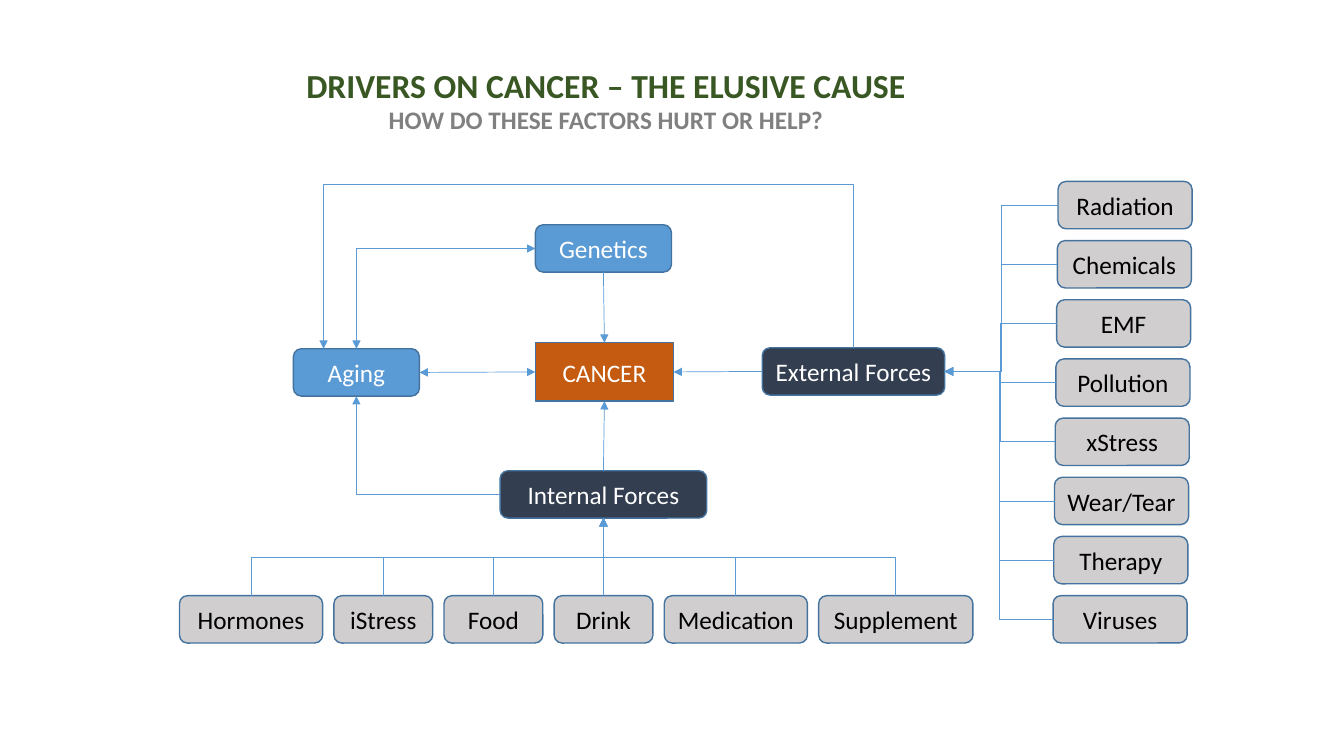
"""Draw a diagram of the forces that drive cancer."""

import dataclasses
import itertools

import lxml.etree
import pptx
import pptx.dml.color
import pptx.enum.shapes
import pptx.enum.text
import pptx.oxml.ns
import pptx.util

COLUMN = pptx.util.Inches(0.1)
ROW = pptx.util.Inches(0.1)
COLUMNS, ROWS = 133.3, 75
BOX_ROWS = 4.7
TOP, LEFT, BOTTOM, RIGHT = range(4)

WHITE = pptx.dml.color.RGBColor(0xFF, 0xFF, 0xFF)
BLACK = pptx.dml.color.RGBColor(0x00, 0x00, 0x00)
BLUE = pptx.dml.color.RGBColor(0x5B, 0x9B, 0xD5)
OUTLINE = pptx.dml.color.RGBColor(0x43, 0x73, 0x9E)
NAVY = pptx.dml.color.RGBColor(0x33, 0x3F, 0x50)
ORANGE = pptx.dml.color.RGBColor(0xC5, 0x5A, 0x11)
SILVER = pptx.dml.color.RGBColor(0xD0, 0xCE, 0xCE)
GREEN = pptx.dml.color.RGBColor(0x38, 0x57, 0x23)
GRAY = pptx.dml.color.RGBColor(0x80, 0x80, 0x80)

SHAPES = pptx.enum.shapes.MSO_SHAPE
CONNECTORS = pptx.enum.shapes.MSO_CONNECTOR


@dataclasses.dataclass(frozen=True)
class Box:
    """A labelled box, placed in grid columns and rows."""

    label: str
    column: float
    row: float
    columns: float
    fill: pptx.dml.color.RGBColor = SILVER
    ink: pptx.dml.color.RGBColor = BLACK
    rows: float = BOX_ROWS
    outline: SHAPES = SHAPES.ROUNDED_RECTANGLE

    def side(self, site: int) -> tuple[float, float]:
        """Return the middle of one side in grid columns and rows."""
        across = {LEFT: 0, RIGHT: 1}.get(site, 0.5)
        down = {TOP: 0, BOTTOM: 1}.get(site, 0.5)
        return self.column + across * self.columns, self.row + down * self.rows


@dataclasses.dataclass(frozen=True)
class Link:
    """An arrow between the sides of two boxes."""

    source: Box
    source_site: int
    target: Box
    target_site: int
    both_ends: bool = False
    bends: int = 0


CANCER = Box("CANCER", 53.1, 34, 13.7, ORANGE, WHITE, 5.8, SHAPES.RECTANGLE)
GENETICS = Box("Genetics", 53.1, 22.3, 13.5, BLUE, WHITE)
AGING = Box("Aging", 29.1, 34.6, 12.5, BLUE, WHITE)
EXTERNAL = Box("External Forces", 75.6, 34.5, 18.1, NAVY, WHITE)
INTERNAL = Box("Internal Forces", 49.6, 46.7, 20.5, NAVY, WHITE)

INTERNAL_LABELS = ("Hormones", "iStress", "Food", "Drink", "Medication", "Supplement")
INTERNAL_COLUMNS = (14.2, 9.8, 9.8, 9.8, 14.2, 15.3)
INTERNAL_GAP = 1.12
INTERNAL_STARTS = itertools.accumulate(
    (columns + INTERNAL_GAP for columns in INTERNAL_COLUMNS), initial=17.8
)
INTERNAL_DRIVERS = [
    Box(label, start, 59.1, columns)
    for label, start, columns in zip(INTERNAL_LABELS, INTERNAL_STARTS, INTERNAL_COLUMNS)
]
EXTERNAL_LABELS = (
    "Radiation", "Chemicals", "EMF", "Pollution",
    "xStress", "Wear/Tear", "Therapy", "Viruses",
)
EXTERNAL_DRIVERS = [
    Box(label, 104.94 - 0.07 * index, 18 + 5.87 * index, 13.3)
    for index, label in enumerate(EXTERNAL_LABELS)
]

LINKS = [
    Link(EXTERNAL, LEFT, CANCER, RIGHT),
    Link(GENETICS, BOTTOM, CANCER, TOP),
    Link(INTERNAL, TOP, CANCER, BOTTOM),
    Link(AGING, RIGHT, CANCER, LEFT, both_ends=True),
    Link(AGING, TOP, GENETICS, LEFT, both_ends=True, bends=1),
    Link(INTERNAL, LEFT, AGING, BOTTOM, bends=1),
    *(
        Link(driver, TOP, INTERNAL, BOTTOM, bends=0 if driver.label == "Drink" else 2)
        for driver in INTERNAL_DRIVERS
    ),
    *(Link(driver, LEFT, EXTERNAL, RIGHT, bends=2) for driver in EXTERNAL_DRIVERS),
]


def write_text(paragraph, text: str, *, size: float, color, bold: bool = False) -> None:
    """Write one centred paragraph in the slide's font."""
    paragraph.alignment = pptx.enum.text.PP_ALIGN.CENTER
    run = paragraph.add_run()
    run.text = text
    run.font.name = "Calibri"
    run.font.size = pptx.util.Pt(size)
    run.font.bold = bold
    run.font.color.rgb = color


def draw_box(slide, box: Box):
    """Draw a labelled box and return its shape."""
    shape = slide.shapes.add_shape(
        box.outline,
        round(box.column * COLUMN), round(box.row * ROW),
        round(box.columns * COLUMN), round(box.rows * ROW),
    )
    shape.shadow.inherit = False
    shape.fill.solid()
    shape.fill.fore_color.rgb = box.fill
    shape.line.color.rgb = OUTLINE
    shape.line.width = pptx.util.Pt(1)
    shape.text_frame.vertical_anchor = pptx.enum.text.MSO_ANCHOR.MIDDLE
    write_text(shape.text_frame.paragraphs[0], box.label, size=18, color=box.ink)
    return shape


def style_arrow(shape, both_ends: bool = False) -> None:
    """Give a line its colour, width and arrowheads, without a shadow."""
    shape.line.color.rgb = BLUE
    shape.line.width = pptx.util.Pt(0.5)
    properties = shape._element.spPr
    line = properties.find(pptx.oxml.ns.qn("a:ln"))
    for end in ("a:headEnd", "a:tailEnd") if both_ends else ("a:tailEnd",):
        lxml.etree.SubElement(line, pptx.oxml.ns.qn(end), type="triangle")
    lxml.etree.SubElement(properties, pptx.oxml.ns.qn("a:effectLst"))


def bend(connector, link: Link) -> None:
    """Turn an elbow so that it leaves its source upward or to the left."""
    start_column, start_row = link.source.side(link.source_site)
    end_column, end_row = link.target.side(link.target_site)
    across, down = end_column - start_column, end_row - start_row
    upward = link.source_site == TOP
    length, offset = (-down, across) if upward else (-across, -down)
    middle_column = (start_column + end_column) / 2
    middle_row = (start_row + end_row) / 2
    connector.begin_x = round((middle_column - length / 2) * COLUMN)
    connector.end_x = round((middle_column + length / 2) * COLUMN)
    connector.begin_y = round((middle_row - offset / 2) * ROW)
    connector.end_y = round((middle_row + offset / 2) * ROW)
    properties = connector._element.spPr
    frame = properties.find(pptx.oxml.ns.qn("a:xfrm"))
    frame.set("rot", str((270 if upward else 180) * 60000))
    geometry = properties.find(pptx.oxml.ns.qn("a:prstGeom"))
    geometry.set("prst", f"bentConnector{link.bends + 1}")


def draw_link(slide, link: Link, shapes: dict) -> None:
    """Draw an arrow joined to both of its boxes."""
    kind = CONNECTORS.ELBOW if link.bends else CONNECTORS.STRAIGHT
    connector = slide.shapes.add_connector(kind, 0, 0, 0, 0)
    connector.begin_connect(shapes[link.source.label], link.source_site)
    connector.end_connect(shapes[link.target.label], link.target_site)
    if link.bends:
        bend(connector, link)
    style_arrow(connector, link.both_ends)


def draw_overhead_arrow(slide) -> None:
    """Draw the arrow from the external forces over the top to aging."""
    start_column, start_row = EXTERNAL.side(TOP)
    overhead_row, end_column = 18.3, 32.1
    corners = [
        (start_column, overhead_row), (end_column, overhead_row), (end_column, AGING.row)
    ]
    builder = slide.shapes.build_freeform(
        round(start_column * COLUMN), round(start_row * ROW)
    )
    builder.add_line_segments(
        [(round(column * COLUMN), round(row * ROW)) for column, row in corners], close=False
    )
    shape = builder.convert_to_shape()
    shape.fill.background()
    style_arrow(shape)


def draw_title(slide) -> None:
    """Write the title and the question below it."""
    title = slide.shapes.add_textbox(
        round(29.1 * COLUMN), round(5.9 * ROW), round(62 * COLUMN), round(8.1 * ROW)
    )
    frame = title.text_frame
    frame.word_wrap = False
    write_text(frame.paragraphs[0], "DRIVERS ON CANCER – THE ELUSIVE CAUSE",
               size=24, color=GREEN, bold=True)
    write_text(frame.add_paragraph(), "HOW DO THESE FACTORS HURT OR HELP?",
               size=18, color=GRAY, bold=True)


def main() -> None:
    """Build and save the slide."""
    presentation = pptx.Presentation()
    presentation.slide_width = round(COLUMNS * COLUMN)
    presentation.slide_height = round(ROWS * ROW)
    slide = presentation.slides.add_slide(presentation.slide_layouts[6])
    boxes = [CANCER, GENETICS, AGING, EXTERNAL, INTERNAL, *INTERNAL_DRIVERS, *EXTERNAL_DRIVERS]
    shapes = {box.label: draw_box(slide, box) for box in boxes}
    for link in LINKS:
        draw_link(slide, link, shapes)
    draw_overhead_arrow(slide)
    draw_title(slide)
    presentation.save("out.pptx")


if __name__ == "__main__":
    main()
